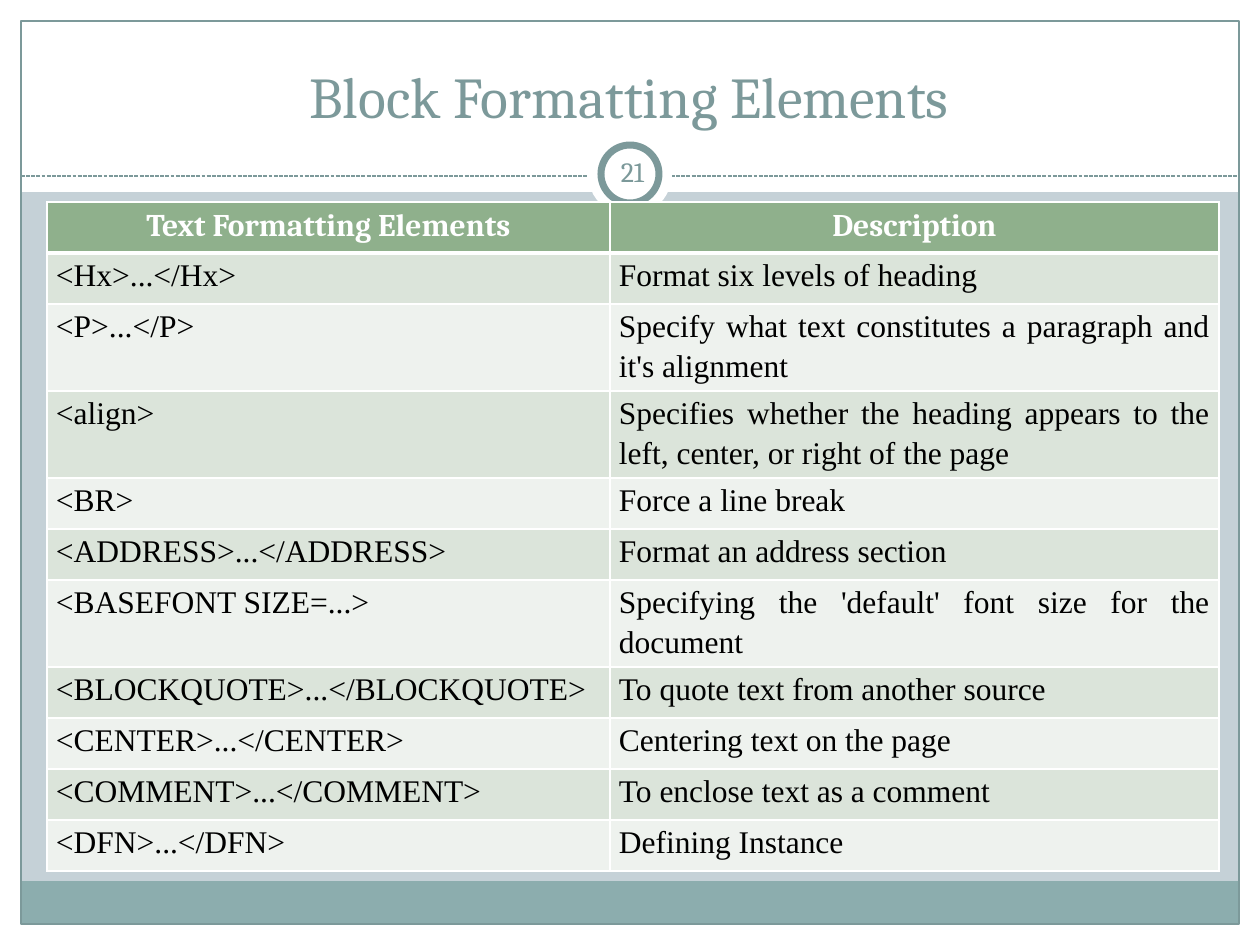
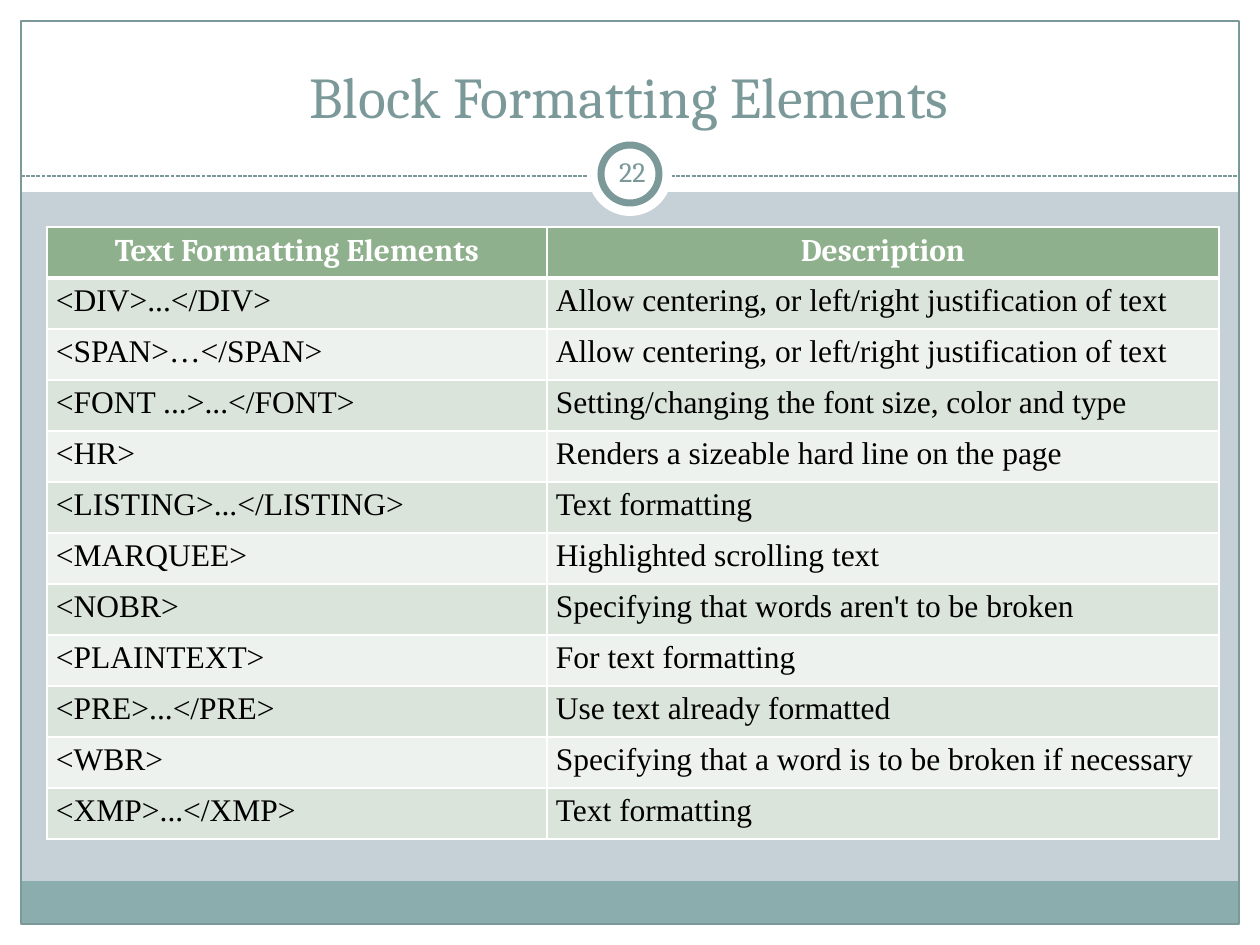
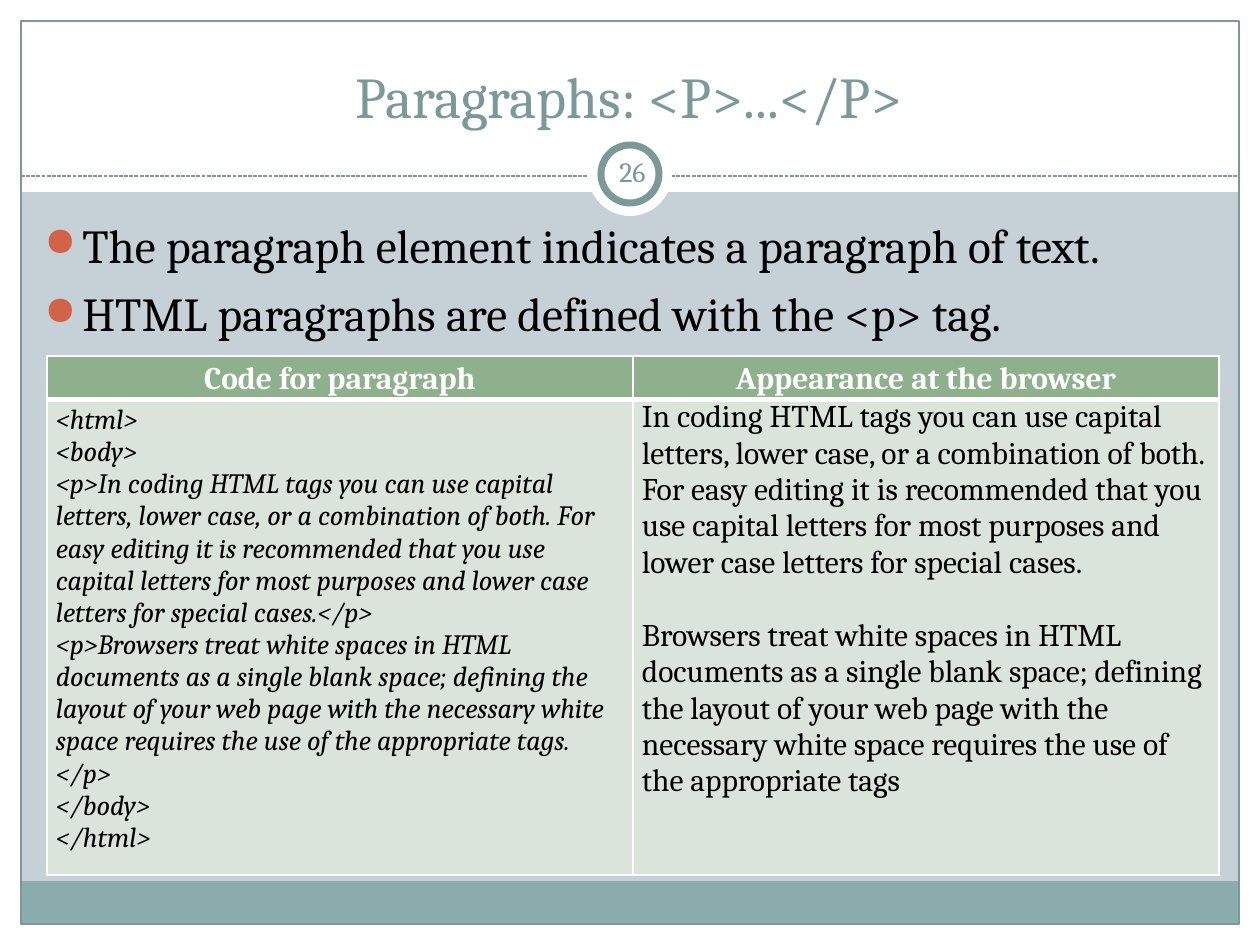
from dataclasses import dataclass
from itertools import accumulate

from lxml.etree import SubElement
from pptx import Presentation
from pptx.dml.color import RGBColor
from pptx.enum.dml import MSO_LINE
from pptx.enum.shapes import MSO_CONNECTOR, MSO_SHAPE
from pptx.enum.text import MSO_ANCHOR, MSO_AUTO_SIZE, PP_ALIGN
from pptx.oxml.ns import qn
from pptx.util import Emu, Pt

EMU_PER_PX = 914400 / 126
PAGE_WIDTH, PAGE_HEIGHT = 1260, 945
MARGIN = 21
TABLE_LEFT = 47
ROW_HEIGHT = 51


@dataclass(frozen=True)
class Theme:
    background: str = "C5D1D7"
    white: str = "FFFFFF"
    black: str = "000000"
    accent: str = "7C999A"
    footer: str = "8CADAE"
    bullet: str = "D16349"
    header: str = "8FB08C"
    bands: tuple = ("DBE4DA", "EEF2EE")
    serif: str = "Cambria"
    roman: str = "Times New Roman"
    title_size: int = 33
    body_size: int = 27
    table_size: int = 18
    small_size: int = 16


THEME = Theme()


@dataclass(frozen=True)
class CellStyle:
    font: str = THEME.serif
    size: int = THEME.table_size
    color: str = THEME.black
    bold: bool = False
    italic: bool = False
    alignment: PP_ALIGN = PP_ALIGN.LEFT
    first_spacing: float = 1.0
    gap: int = 0
    side_inset: int = 9
    vertical_inset: int = 0


HEADER = CellStyle(color=THEME.white, bold=True, alignment=PP_ALIGN.CENTER,
                   side_inset=13, vertical_inset=6)
TIGHT_HEADER = CellStyle(color=THEME.white, bold=True, alignment=PP_ALIGN.CENTER,
                         first_spacing=1.15)
ELEMENT = CellStyle(font=THEME.roman, alignment=PP_ALIGN.JUSTIFY, first_spacing=1.15)
CODE = CellStyle(size=THEME.small_size, italic=True, first_spacing=1.15)
BROWSER = CellStyle(gap=21)

COLUMN_TITLES = ["Text Formatting Elements", "Description"]

BLOCK_ELEMENTS = [
    ["<Hx>...</Hx>", "Format six levels of heading"],
    ["<P>...</P>", "Specify what text constitutes a paragraph and it's alignment"],
    ["<align>", "Specifies whether the heading appears to the left, center, or right of the page"],
    ["<BR>", "Force a line break"],
    ["<ADDRESS>...</ADDRESS>", "Format an address section"],
    ["<BASEFONT SIZE=...>", "Specifying the 'default' font size for the document"],
    ["<BLOCKQUOTE>...</BLOCKQUOTE>", "To quote text from another source"],
    ["<CENTER>...</CENTER>", "Centering text on the page"],
    ["<COMMENT>...</COMMENT>", "To enclose text as a comment"],
    ["<DFN>...</DFN>", "Defining Instance"],
]

MORE_BLOCK_ELEMENTS = [
    ["<DIV>...</DIV>", "Allow centering, or left/right justification of text"],
    ["<SPAN>…</SPAN>", "Allow centering, or left/right justification of text"],
    ["<FONT ...>...</FONT>", "Setting/changing the font size, color and type"],
    ["<HR>", "Renders a sizeable hard line on the page"],
    ["<LISTING>...</LISTING>", "Text formatting"],
    ["<MARQUEE>", "Highlighted scrolling text"],
    ["<NOBR>", "Specifying that words aren't to be broken"],
    ["<PLAINTEXT>", "For text formatting"],
    ["<PRE>...</PRE>", "Use text already formatted"],
    ["<WBR>", "Specifying that a word is to be broken if necessary"],
    ["<XMP>...</XMP>", "Text formatting"],
]

CODING_ADVICE = (
    "In coding HTML tags you can use capital letters, lower case, or a combination of both. "
    "For easy editing it is recommended that you use capital letters for most purposes "
    "and lower case letters for special cases."
)
SPACE_ADVICE = (
    "Browsers treat white spaces in HTML documents as a single blank space; defining the "
    "layout of your web page with the necessary white space requires the use of the "
    "appropriate tags"
)
CODE_LINES = ["<html>", "<body>", f"<p>{CODING_ADVICE}</p>", f"<p>{SPACE_ADVICE}. </p>",
              "</body>", "</html>"]
PARAGRAPH_EXAMPLE = [["\n".join(CODE_LINES), f"{CODING_ADVICE}\n{SPACE_ADVICE}"]]
PARAGRAPH_FACTS = ["The paragraph element indicates a paragraph of text.",
                   "HTML paragraphs are defined with the <p> tag."]


def px(length):
    return Emu(round(length * EMU_PER_PX))


def rgb(color):
    return RGBColor.from_string(color)


def format_runs(paragraph, size, color, font=THEME.serif, bold=False, italic=False):
    for run in paragraph.runs:
        run.font.name = font
        run.font.size = Pt(size)
        run.font.color.rgb = rgb(color)
        run.font.bold = bold
        run.font.italic = italic


def add_plain_shape(slide, kind, box, fill=None, line=None, line_width=0.75):
    shape = slide.shapes.add_shape(kind, *map(px, box))
    shape.shadow.inherit = False
    if fill:
        shape.fill.solid()
        shape.fill.fore_color.rgb = rgb(fill)
    else:
        shape.fill.background()
    if line:
        shape.line.color.rgb = rgb(line)
        shape.line.width = Pt(line_width)
    else:
        shape.line.fill.background()


def add_dashed_rule(slide, left, right, top):
    connector = slide.shapes.add_connector(
        MSO_CONNECTOR.STRAIGHT, px(left), px(top), px(right), px(top))
    connector.line.color.rgb = rgb(THEME.accent)
    connector.line.width = Pt(0.75)
    connector.line.dash_style = MSO_LINE.SQUARE_DOT
    connector.line._get_or_add_ln().find(qn("a:prstDash")).set("val", "sysDash")
    SubElement(connector._element.spPr, qn("a:effectLst"))


def add_frame(slide):
    inner_width = PAGE_WIDTH - 2 * MARGIN
    bottom = PAGE_HEIGHT - MARGIN
    for box in [(0, bottom, PAGE_WIDTH, MARGIN), (0, 0, PAGE_WIDTH, 192),
                (0, 0, MARGIN, PAGE_HEIGHT),
                (PAGE_WIDTH - MARGIN, 0, MARGIN, PAGE_HEIGHT)]:
        add_plain_shape(slide, MSO_SHAPE.RECTANGLE, box, THEME.white)
    add_plain_shape(slide, MSO_SHAPE.RECTANGLE, (MARGIN, 881, inner_width, 43), THEME.footer)
    add_plain_shape(slide, MSO_SHAPE.RECTANGLE,
                    (MARGIN, MARGIN, inner_width, bottom - MARGIN), line=THEME.accent)
    add_dashed_rule(slide, MARGIN, PAGE_WIDTH - MARGIN, 176)
    add_plain_shape(slide, MSO_SHAPE.OVAL, (588, 132, 84, 84), THEME.white)
    add_plain_shape(slide, MSO_SHAPE.OVAL, (601, 145, 58, 58), THEME.white, THEME.accent, 4)


def move_frame_to_layout(slide, layout):
    for placeholder in list(layout.placeholders):
        if placeholder.placeholder_format.idx:
            placeholder._element.getparent().remove(placeholder._element)
    for shape in list(slide.shapes):
        if not shape.is_placeholder:
            layout.shapes._spTree.append(shape._element)


def set_title(slide, text):
    title = slide.shapes.title
    title.left, title.top, title.width, title.height = map(px, (41, 31, 1176, 105))
    text_frame = title.text_frame
    text_frame.text = text
    text_frame.auto_size = MSO_AUTO_SIZE.NONE
    text_frame.vertical_anchor = MSO_ANCHOR.BOTTOM
    paragraph = text_frame.paragraphs[0]
    paragraph.alignment = PP_ALIGN.CENTER
    format_runs(paragraph, THEME.title_size, THEME.accent)


def add_text_box(slide, box, text):
    text_frame = slide.shapes.add_textbox(*map(px, box)).text_frame
    text_frame.word_wrap = True
    text_frame.text = text
    return text_frame


def add_page_number(slide, number):
    text_frame = add_text_box(slide, (601, 141, 63, 60), str(number))
    text_frame.vertical_anchor = MSO_ANCHOR.MIDDLE
    text_frame.margin_left = text_frame.margin_right = px(6)
    text_frame.margin_top = text_frame.margin_bottom = px(6)
    paragraph = text_frame.paragraphs[0]
    paragraph.alignment = PP_ALIGN.CENTER
    format_runs(paragraph, THEME.small_size, THEME.accent)


def add_bullet(paragraph):
    indent = px(38)
    properties = paragraph._p.get_or_add_pPr()
    properties.set("marL", str(indent))
    properties.set("indent", str(-indent))
    color = SubElement(properties, qn("a:buClr"))
    SubElement(color, qn("a:srgbClr"), val=THEME.bullet)
    SubElement(properties, qn("a:buSzPct"), val="85000")
    SubElement(properties, qn("a:buChar"), char="●")


def add_bullet_list(slide, box, items):
    text_frame = add_text_box(slide, box, "\n".join(items))
    for paragraph in text_frame.paragraphs:
        paragraph.alignment = PP_ALIGN.JUSTIFY
        paragraph.space_before = Pt(6.5)
        add_bullet(paragraph)
        format_runs(paragraph, THEME.body_size, THEME.black)


def set_borders(cell, top, bottom):
    properties = cell._tc.get_or_add_tcPr()
    for side, width in (("L", 1), ("R", 1), ("T", top), ("B", bottom)):
        line = SubElement(properties, qn(f"a:ln{side}"), w=str(Pt(width)))
        fill = SubElement(line, qn("a:solidFill"))
        SubElement(fill, qn("a:srgbClr"), val=THEME.white)


def fill_cell(cell, text, style, fill):
    cell.fill.solid()
    cell.fill.fore_color.rgb = rgb(fill)
    cell.margin_left = cell.margin_right = px(style.side_inset)
    cell.margin_top = cell.margin_bottom = px(style.vertical_inset)
    cell.text_frame.text = text
    for index, paragraph in enumerate(cell.text_frame.paragraphs):
        paragraph.alignment = style.alignment
        if index:
            paragraph.space_before = Pt(style.gap)
        else:
            paragraph.line_spacing = style.first_spacing
        format_runs(paragraph, style.size, style.color, style.font, style.bold, style.italic)


def add_table(slide, top, widths, heights, rows, header_style, column_styles):
    shape = slide.shapes.add_table(len(rows), len(widths), px(TABLE_LEFT), px(top),
                                   px(sum(widths)), px(sum(heights)))
    table = shape.table
    table.horz_banding = False
    for column, width in zip(table.columns, widths):
        column.width = px(width)
    for row, height in zip(table.rows, heights):
        row.height = px(height)
    for row_index, texts in enumerate(rows):
        is_header = row_index == 0
        fill = THEME.header if is_header else THEME.bands[(row_index - 1) % 2]
        for column_index, text in enumerate(texts):
            cell = table.cell(row_index, column_index)
            set_borders(cell, 3 if row_index == 1 else 1, 3 if is_header else 1)
            style = header_style if is_header else column_styles[column_index]
            fill_cell(cell, text, style, fill)


def add_element_table(slide, top, widths, elements):
    rows = [COLUMN_TITLES, *elements]
    add_table(slide, top, widths, [ROW_HEIGHT] * len(rows), rows, HEADER, [ELEMENT] * 2)


def start_slide(presentation, title, number):
    slide = presentation.slides.add_slide(presentation.slide_layouts[5])
    set_title(slide, title)
    add_page_number(slide, number)
    return slide


def prepare_layout(presentation, slide):
    number_box = slide.shapes[-1]._element
    tree = slide.shapes._spTree
    tree.remove(number_box)
    add_frame(slide)
    move_frame_to_layout(slide, presentation.slide_layouts[5])
    tree.append(number_box)


def main():
    presentation = Presentation()
    presentation.slide_width = px(PAGE_WIDTH)
    presentation.slide_height = px(PAGE_HEIGHT)
    background = presentation.slide_master.background.fill
    background.solid()
    background.fore_color.rgb = rgb(THEME.background)

    slide = start_slide(presentation, "Block Formatting Elements", 21)
    prepare_layout(presentation, slide)
    add_element_table(slide, 202, [563, 609], BLOCK_ELEMENTS)

    slide = start_slide(presentation, "Block Formatting Elements", 22)
    add_element_table(slide, 227, [500, 672], MORE_BLOCK_ELEMENTS)

    slide = start_slide(presentation, "Paragraphs: <P>...</P>", 26)
    add_bullet_list(slide, (32, 210, 1197, 713), PARAGRAPH_FACTS)
    rows = [["Code for paragraph", "Appearance at the browser"], *PARAGRAPH_EXAMPLE]
    add_table(slide, 356, [586, 586], [38, 403], rows, TIGHT_HEADER, [CODE, BROWSER])

    presentation.save("out.pptx")


if __name__ == "__main__":
    main()
